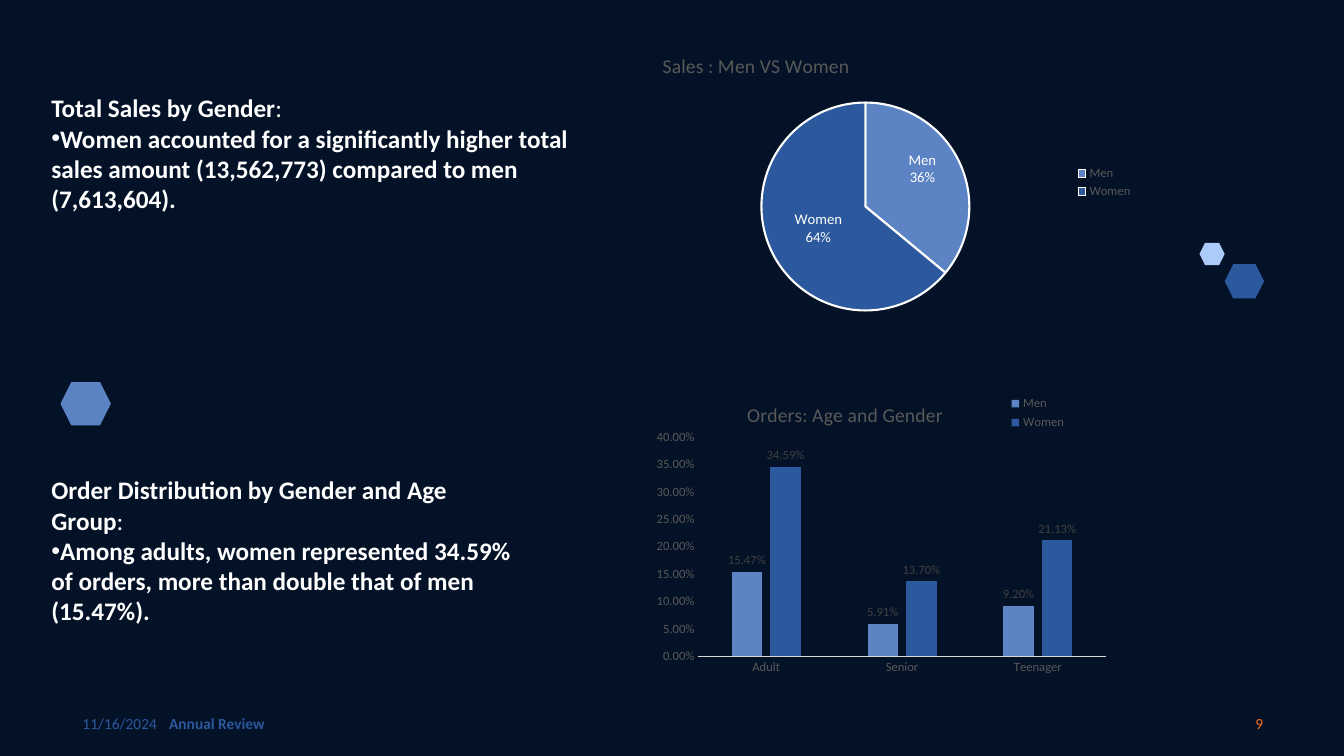
from dataclasses import dataclass

from lxml.etree import SubElement
from pptx import Presentation
from pptx.chart.data import CategoryChartData
from pptx.dml.color import RGBColor
from pptx.enum.chart import XL_CHART_TYPE as ChartType
from pptx.enum.chart import XL_LABEL_POSITION as LabelPosition
from pptx.enum.chart import XL_LEGEND_POSITION as LegendPosition
from pptx.enum.chart import XL_TICK_MARK as TickMark
from pptx.enum.shapes import MSO_SHAPE as ShapeKind
from pptx.enum.text import MSO_ANCHOR as Anchor
from pptx.enum.text import MSO_AUTO_SIZE as AutoSize
from pptx.enum.text import PP_ALIGN as Align
from pptx.oxml.ns import qn
from pptx.util import Pt

COLORS = {
    "night": "031227", "white": "FFFFFF", "men": "5C83C4", "women": "2C599D",
    "pale": "ACCBF9", "orange": "FA6F1A", "grey": "595959", "dark": "404040",
    "axis": "D9D9D9",
}
PERCENT = "0.00%"


@dataclass
class Box:
    left: float
    top: float
    width: float
    height: float

    def lengths(self) -> list:
        return [Pt(v) for v in (self.left, self.top, self.width, self.height)]


@dataclass
class Footer:
    text: str
    box: Box
    color: str
    bold: bool = False
    align: Align = Align.LEFT


@dataclass
class Hexagon:
    box: Box
    color: str


@dataclass
class Note:
    holder: int
    box: Box
    heading: str
    finding: str


@dataclass
class Graph:
    kind: ChartType
    box: Box
    title: str
    categories: list
    series: dict
    title_at: tuple
    legend_at: tuple
    plot_at: tuple


FOOTERS = [
    Footer("11/16/2024", Box(51.84, 502.56, 216, 28.8), "women"),
    Footer("Annual Review", Box(113.76, 502.56, 324, 28.8), "women", bold=True),
    Footer("9", Box(693.36, 502.56, 216, 28.8), "orange", align=Align.RIGHT),
]
HEXAGONS = [
    Hexagon(Box(43.2, 272.88, 36, 30.96), "men"),
    Hexagon(Box(874.8, 188.64, 28.08, 24.48), "women"),
    Hexagon(Box(856.8, 173.52, 18, 15.84), "pale"),
]
NOTES = [
    Note(1, Box(29.52, 62.64, 396, 94.32), "Total Sales by Gender",
         "Women accounted for a significantly higher total sales amount "
         "(13,562,773) compared to men (7,613,604)."),
    Note(2, Box(29.52, 335.52, 346.32, 94.32), "Order Distribution by Gender and Age Group",
         "Among adults, women represented 34.59% of orders, more than double "
         "that of men (15.47%)."),
]
SALES = Graph(
    ChartType.PIE, Box(456.48, 23.76, 359.28, 215.28), "Sales : Men VS Women",
    ["Men", "Women"], {"Series 1": [36, 64]},
    (0.04, 0.05), (0.86, 0.43, 0.13, 0.13), (0.24, 0.23, 0.42, 0.69))
ORDERS = Graph(
    ChartType.COLUMN_CLUSTERED, Box(455.76, 275.76, 359.28, 214.56), "Orders: Age and Gender",
    ["Adult", "Senior", "Teenager"],
    {"Men": [0.1547, 0.0591, 0.092], "Women": [0.3459, 0.137, 0.2113]},
    (0.21, 0.04), (0.73, 0.02, 0.13, 0.14), (0.12, 0.17, 0.81, 0.73))


def paint(color: str) -> RGBColor:
    return RGBColor.from_string(COLORS[color])


def apply(target: object, values: dict) -> None:
    for name, value in values.items():
        setattr(target, name, value)


def style(font: object, size: float, color: str, bold: bool = False) -> None:
    apply(font, {"name": "Calibri", "size": Pt(size), "bold": bold})
    font.color.rgb = paint(color)


def add_span(para: object, text: str, size: float, color: str, bold: bool) -> None:
    span = para.add_run()
    span.text = text
    style(span.font, size, color, bold)


def add_footer(page: object, footer: Footer) -> None:
    frame = page.shapes.add_textbox(*footer.box.lengths()).text_frame
    apply(frame, {"word_wrap": True, "vertical_anchor": Anchor.MIDDLE})
    para = frame.paragraphs[0]
    para.alignment = footer.align
    add_span(para, footer.text, 11, footer.color, footer.bold)


def add_hexagon(page: object, hexagon: Hexagon) -> None:
    shape = page.shapes.add_shape(ShapeKind.HEXAGON, *hexagon.box.lengths())
    shape.shadow.inherit = False
    shape.fill.solid()
    shape.fill.fore_color.rgb = paint(hexagon.color)
    shape.line.fill.background()


def set_bullet(para: object, mark: str) -> None:
    para.space_before = Pt(0)
    props = para._p.get_or_add_pPr()
    props.set("marL", "0")
    props.set("indent", "0")
    if mark:
        SubElement(props, qn("a:buChar"), char=mark)
    else:
        SubElement(props, qn("a:buNone"))


def add_note(page: object, note: Note) -> None:
    holder = page.placeholders[note.holder]
    apply(holder, dict(zip(("left", "top", "width", "height"), note.box.lengths())))
    frame = holder.text_frame
    apply(frame, {"word_wrap": True, "auto_size": AutoSize.SHAPE_TO_FIT_TEXT})
    heading = frame.paragraphs[0]
    set_bullet(heading, "")
    add_span(heading, note.heading, 18, "white", True)
    add_span(heading, ":", 18, "white", False)
    finding = frame.add_paragraph()
    set_bullet(finding, "•")
    add_span(finding, note.finding, 18, "white", True)


def place(parent: object, index: int, spots: tuple, mode: str = "edge", inner: bool = False) -> None:
    for old in parent.findall(qn("c:layout")):
        parent.remove(old)
    layout = SubElement(parent, qn("c:layout"))
    parent.insert(index, layout)
    manual = SubElement(layout, qn("c:manualLayout"))
    if inner:
        SubElement(manual, qn("c:layoutTarget"), val="inner")
    if mode:
        for name in ("xMode", "yMode"):
            SubElement(manual, qn(f"c:{name}"), val=mode)
    for name, value in zip("xywh", spots):
        SubElement(manual, qn(f"c:{name}"), val=str(value))


def add_graph(page: object, graph: Graph) -> object:
    data = CategoryChartData()
    data.categories = graph.categories
    for name, values in graph.series.items():
        data.add_series(name, values)
    chart = page.shapes.add_chart(graph.kind, *graph.box.lengths(), data).chart
    style(chart.font, 10, "grey")
    para = chart.chart_title.text_frame.paragraphs[0]
    add_span(para, graph.title, 14, "grey", False)
    place(chart.chart_title.element, 1, graph.title_at)
    chart.has_legend = True
    apply(chart.legend, {"position": LegendPosition.RIGHT, "include_in_layout": False})
    style(chart.legend.font, 9, "grey")
    place(chart.element.find(".//" + qn("c:legend")), 1, graph.legend_at)
    place(chart.element.find(".//" + qn("c:plotArea")), 0, graph.plot_at, inner=True)
    return chart


def finish_pie(chart: object) -> None:
    series = chart.plots[0].series[0]
    for index, color in enumerate(("men", "women")):
        look = series.points[index].format
        look.fill.solid()
        look.fill.fore_color.rgb = paint(color)
        look.line.color.rgb = paint("white")
        look.line.width = Pt(1.5)
    labels = series.data_labels
    apply(labels, {"show_value": False, "show_category_name": True,
                   "show_percentage": True, "position": LabelPosition.CENTER})
    style(labels.font, 10.5, "white")
    men = series.points[0].data_label
    style(men.font, 10.5, "white")
    men.position = LabelPosition.CENTER
    group = chart.element.find(".//" + qn("c:ser")).find(qn("c:dLbls"))
    label = group.find(qn("c:dLbl"))
    place(label, 1, (0.02, -0.05), mode="")
    for name, value in {"showVal": "0", "showCatName": "1", "showPercent": "1"}.items():
        label.find(qn(f"c:{name}")).set("val", value)
    for owner in (label, group):
        split = SubElement(owner, qn("c:separator"))
        split.text = "\n"
        owner.find(qn("c:showPercent")).getparent().remove(split)
        last = owner.find(qn("c:showBubbleSize"))
        (owner.find(qn("c:showPercent")) if last is None else last).addnext(split)


def finish_columns(chart: object) -> None:
    plot = chart.plots[0]
    apply(plot, {"gap_width": 219, "overlap": -27, "vary_by_categories": False})
    for series, color in zip(plot.series, ("men", "women")):
        series.format.fill.solid()
        series.format.fill.fore_color.rgb = paint(color)
        labels = series.data_labels
        apply(labels, {"show_value": True, "position": LabelPosition.OUTSIDE_END,
                       "number_format": PERCENT, "number_format_is_linked": False})
        style(labels.font, 9, "dark")
    for axis in (chart.category_axis, chart.value_axis):
        apply(axis, {"major_tick_mark": TickMark.NONE, "minor_tick_mark": TickMark.NONE,
                     "has_major_gridlines": False})
        style(axis.tick_labels.font, 9, "grey")
    chart.category_axis.format.line.color.rgb = paint("axis")
    chart.category_axis.format.line.width = Pt(0.75)
    values = chart.value_axis
    apply(values, {"minimum_scale": 0, "maximum_scale": 0.4, "major_unit": 0.05})
    apply(values.tick_labels, {"number_format": PERCENT, "number_format_is_linked": False})
    values.format.line.fill.background()


def main() -> None:
    deck = Presentation()
    apply(deck, {"slide_width": Pt(960), "slide_height": Pt(540)})
    page = deck.slides.add_slide(deck.slide_layouts[3])
    page.background.fill.solid()
    page.background.fill.fore_color.rgb = paint("night")
    title = page.shapes.title.element
    title.getparent().remove(title)
    for footer in FOOTERS:
        add_footer(page, footer)
    for hexagon in HEXAGONS:
        add_hexagon(page, hexagon)
    for note in NOTES:
        add_note(page, note)
    finish_pie(add_graph(page, SALES))
    finish_columns(add_graph(page, ORDERS))
    deck.save("out.pptx")


if __name__ == "__main__":
    main()
